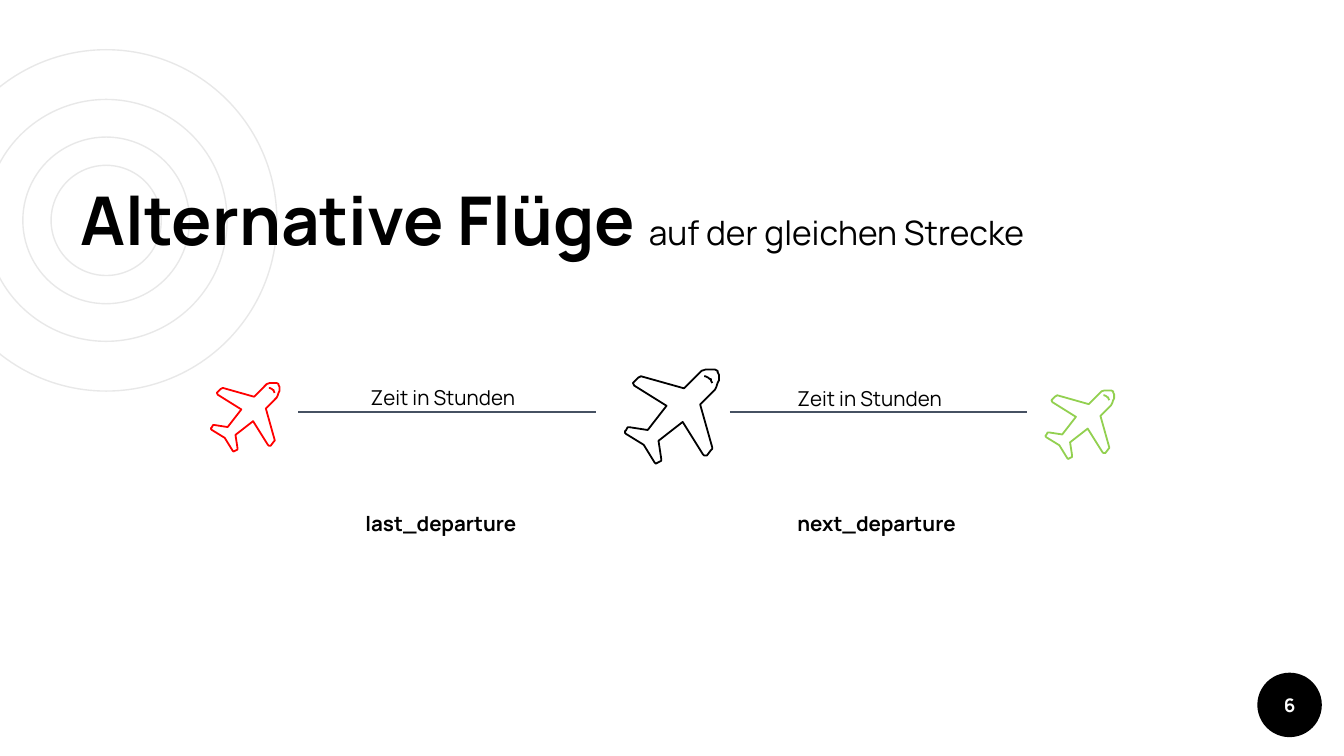
from lxml import etree
from pptx import Presentation
from pptx import util as u
from pptx.dml.color import RGBColor
from pptx.enum import shapes, text
from pptx.oxml.ns import qn

PX = 4572
FONT = "Manrope"
BODY = [
    (65, 58), (56, 26), (67, 15), (68, 13), (69, 10), (70, 8), (70, 4), (69, 2),
    (69, 1), (67, 0), (63, 0), (60, 0), (57, 1), (55, 3), (44, 14), (12, 5),
    (10, 6), (7, 9), (6, 10), (7, 12), (31, 27), (17, 45), (4, 43), (2, 43),
    (1, 45), (0, 46), (0, 47), (1, 48), (14, 56), (22, 69), (23, 70), (25, 69),
    (27, 68), (27, 66), (25, 53), (43, 39), (58, 63), (59, 64), (61, 64),
    (64, 60), (65, 59),
]
NOSE = [(65, 10), (64, 8), (64, 7), (63, 7), (62, 6), (60, 5), (59, 5)]


def px(*vals):
    return [u.Emu(round(v * PX)) for v in vals]


def color(code):
    return RGBColor.from_string(code)


def stroke(item, code, width):
    item.line.color.rgb = color(code)
    item.line.width = u.Pt(width)


def write(para, words, size=11, code="000000", bold=False):
    run = para.add_run()
    run.text = words
    font = run.font
    font.name, font.size, font.bold = FONT, u.Pt(size), bold
    font.color.rgb = color(code)


def circle(slide, x, y, size):
    item = slide.shapes.add_shape(shapes.MSO_SHAPE.OVAL, *px(x, y, size, size))
    item.shadow.inherit = False
    return item


def rings(slide, x, y):
    for rad in (254, 180, 124, 82):
        ring = circle(slide, x - rad, y - rad, 2 * rad)
        ring.fill.background()
        stroke(ring, "E8E8E8", 0.75)


def inset(frame, gap):
    frame.margin_left = frame.margin_right = gap
    frame.margin_top = frame.margin_bottom = gap


def title(slide):
    box = slide.shapes.title
    box.left, box.top, box.width, box.height = px(100, 255, 1724, 150)
    frame = box.text_frame
    frame.auto_size = text.MSO_AUTO_SIZE.NONE
    frame.vertical_anchor = text.MSO_ANCHOR.BOTTOM
    inset(frame, px(20)[0])
    para = frame.paragraphs[0]
    para.alignment = text.PP_ALIGN.LEFT
    write(para, "Alternative Flüge ", size=36, bold=True)
    write(para, "auf der gleichen Strecke", size=18)
    slide.shapes._spTree.append(box._element)


def badge(slide, num):
    disc = circle(slide, 1871, 1001, 96)
    disc.fill.solid()
    disc.fill.fore_color.rgb = color("000000")
    disc.line.fill.background()
    frame = disc.text_frame
    inset(frame, 0)
    frame.vertical_anchor = text.MSO_ANCHOR.MIDDLE
    para = frame.paragraphs[0]
    para.alignment = text.PP_ALIGN.CENTER
    write(para, num, size=10, code="FFFFFF", bold=True)


def plane(slide, x, y, size, code):
    for pts, shut in ((BODY, True), (NOSE, False)):
        pen = slide.shapes.build_freeform(*pts[0], scale=PX * size / 70)
        pen.add_line_segments(pts[1:], close=shut)
        item = pen.convert_to_shape(*px(x, y))
        item.shadow.inherit = False
        item.fill.background()
        stroke(item, code, 0.96)


def route(slide, x, y, width):
    line = slide.shapes.add_connector(shapes.MSO_CONNECTOR.STRAIGHT, *px(x, y, x + width, y))
    stroke(line, "465162", 0.75)
    etree.SubElement(line._element.spPr, qn("a:effectLst"))


def label(slide, x, y, words, bold=False):
    box = slide.shapes.add_textbox(*px(x, y, 282, 58))
    box.text_frame.word_wrap = True
    write(box.text_frame.paragraphs[0], words, bold=bold)


def main():
    deck = Presentation()
    deck.slide_width, deck.slide_height = px(2000, 1125)
    slide = deck.slides.add_slide(deck.slide_layouts[5])
    rings(slide, 158, 328)
    title(slide)
    badge(slide, "6")
    plane(slide, 930, 550, 140, "000000")
    plane(slide, 314, 570, 102, "FF0000")
    plane(slide, 1556, 581, 102, "92D050")
    for x in (444, 1086):
        route(slide, x, 613, 443)
    for x, y in ((532, 563), (1167, 565)):
        label(slide, x, y, "Zeit in Stunden")
    for x, words in ((524, "last_departure"), (1167, "next_departure")):
        label(slide, x, 750, words, bold=True)
    deck.save("out.pptx")


if __name__ == "__main__":
    main()
